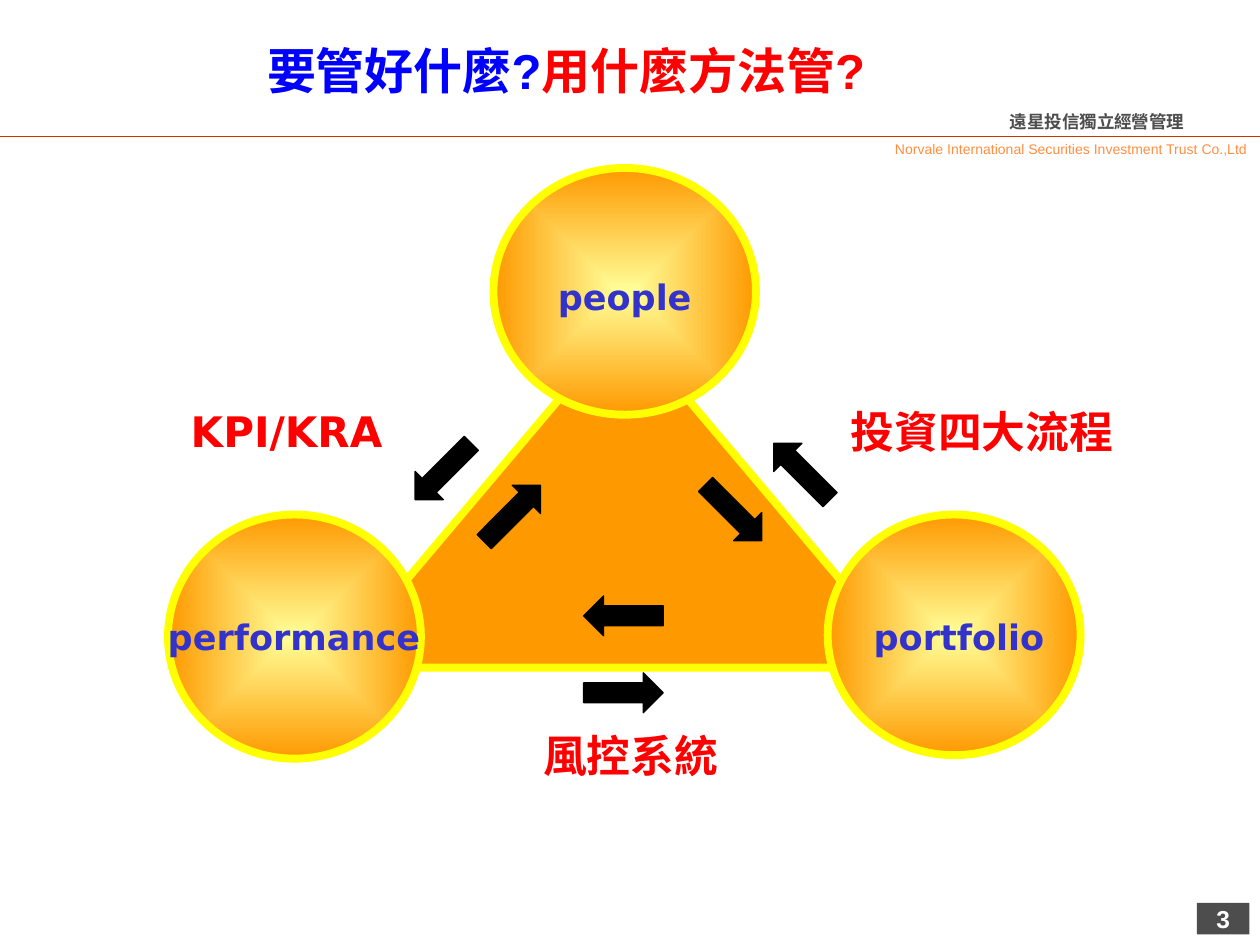
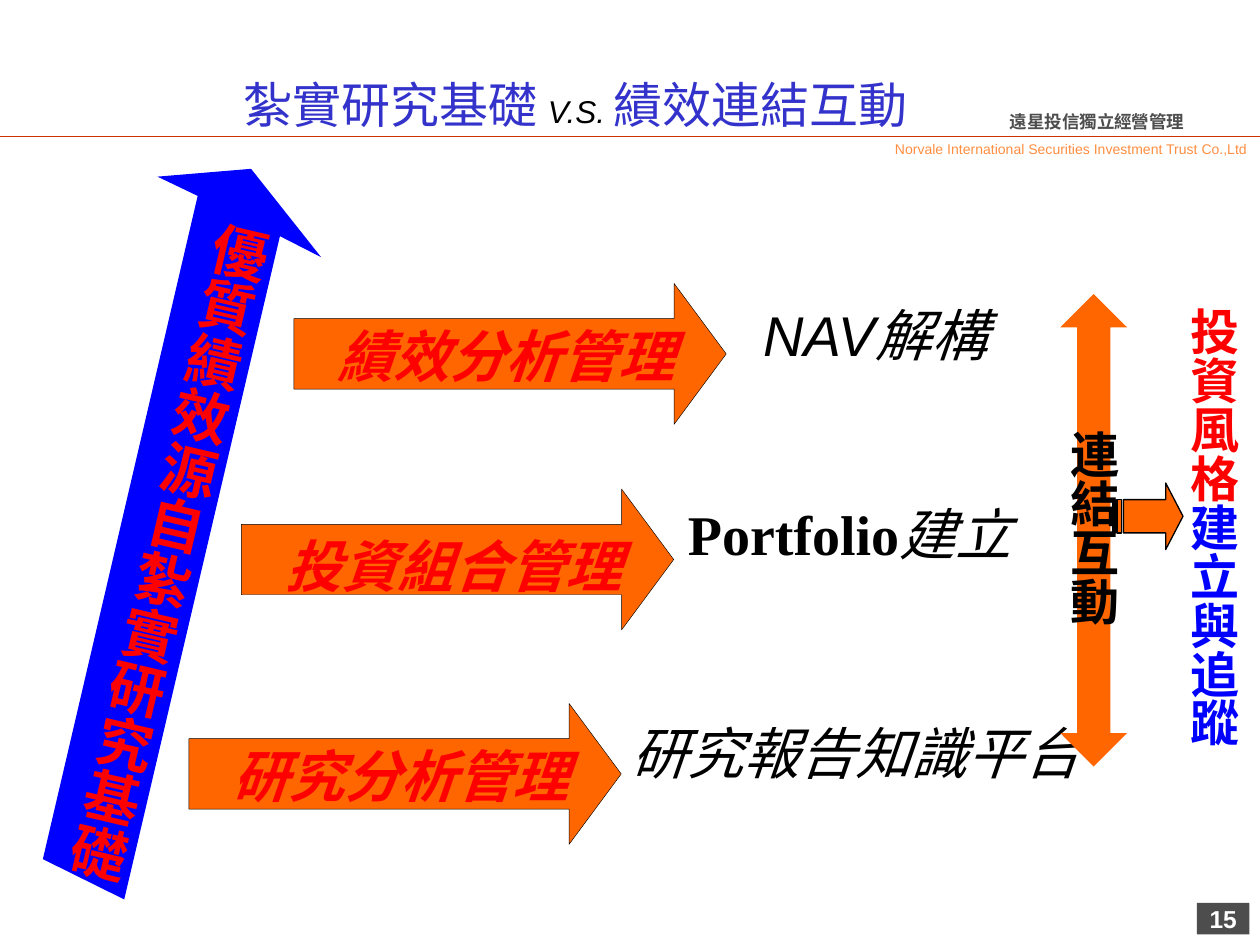
from dataclasses import dataclass

from lxml import etree
from pptx import Presentation
from pptx.dml.color import RGBColor
from pptx.enum.shapes import MSO_CONNECTOR, MSO_SHAPE
from pptx.enum.text import MSO_ANCHOR, MSO_AUTO_SIZE, PP_ALIGN
from pptx.oxml.ns import qn
from pptx.util import Pt

LEFT, CENTER = PP_ALIGN.LEFT, PP_ALIGN.CENTER
TOP = MSO_ANCHOR.TOP
GROW, FIXED = MSO_AUTO_SIZE.SHAPE_TO_FIT_TEXT, MSO_AUTO_SIZE.NONE
STRAIGHT = MSO_CONNECTOR.STRAIGHT
RECT, OVAL, TRIANGLE = MSO_SHAPE.RECTANGLE, MSO_SHAPE.OVAL, MSO_SHAPE.ISOSCELES_TRIANGLE
RIGHT_ARROW, UP_DOWN = MSO_SHAPE.RIGHT_ARROW, MSO_SHAPE.UP_DOWN_ARROW
STRIPED_ARROW = MSO_SHAPE.STRIPED_RIGHT_ARROW

WHITE, BLACK, GRAY = "FFFFFF", "000000", "4D4D4D"
RED, BLUE, INDIGO = "FF0000", "0000FF", "3333CC"
AMBER, ORANGE, YELLOW, CREAM = "FF9900", "FF6600", "FFFF00", "FFFF99"
RULE_RED, PALE_ORANGE = "CC3300", "FF8E41"
ARIAL, TIMES, DEJAVU, CJK = "Arial", "Times New Roman", "DejaVu Sans", "Noto Sans CJK SC"


@dataclass(frozen=True)
class Run:
    text: str
    size: float
    color: str
    font: str = ARIAL
    bold: bool = False
    italic: bool = False


@dataclass(frozen=True)
class Box:
    x: float
    y: float
    w: float
    h: float


@dataclass(frozen=True)
class Label:
    box: Box
    runs: tuple[Run, ...]
    align: PP_ALIGN = LEFT
    wrap: bool = True
    grow: bool = True
    vertical: bool = False
    rotation: float = 0
    spacing: float = 1.0


@dataclass(frozen=True)
class Shape:
    kind: MSO_SHAPE
    box: Box
    fill: str
    line: str | None = None
    width: float = 0.75
    adjust: tuple[float, ...] = ()
    rotation: float = 0


def rgb(color: str) -> RGBColor:
    return RGBColor.from_string(color)


def emu(box: Box) -> list[int]:
    return [Pt(v) for v in (box.x, box.y, box.w, box.h)]


def paint(sp, fill: str, line: str | None = None, width: float = 0.75) -> None:
    sp.shadow.inherit = False
    sp.fill.solid()
    sp.fill.fore_color.rgb = rgb(fill)
    if line:
        sp.line.color.rgb = rgb(line)
        sp.line.width = Pt(width)
    else:
        sp.line.fill.background()


def write(sp, label: Label) -> None:
    tf = sp.text_frame
    tf.word_wrap = label.wrap
    tf.auto_size = GROW if label.grow else FIXED
    tf.vertical_anchor = TOP
    across, along = (3.6, 7.2) if label.vertical else (7.2, 3.6)
    tf.margin_left = tf.margin_right = Pt(across)
    tf.margin_top = tf.margin_bottom = Pt(along)
    if label.vertical:
        sp.element.txBody.bodyPr.set("vert", "eaVert")
    p = tf.paragraphs[0]
    p.alignment = label.align
    p.line_spacing = label.spacing
    for part in label.runs:
        r = p.add_run()
        r.text = part.text
        r.font.name = part.font
        r.font.size = Pt(part.size)
        r.font.bold, r.font.italic = part.bold, part.italic
        r.font.color.rgb = rgb(part.color)
        latin = r.font._element.find(qn("a:latin"))
        east_asian = etree.Element(qn("a:ea"), typeface=CJK)
        latin.addnext(east_asian)


def add_label(s, label: Label) -> None:
    sp = s.shapes.add_textbox(*emu(label.box))
    sp.rotation = label.rotation
    write(sp, label)


def add_shape(s, shape: Shape):
    sp = s.shapes.add_shape(shape.kind, *emu(shape.box))
    for i, value in enumerate(shape.adjust):
        sp.adjustments[i] = value
    sp.rotation = shape.rotation
    paint(sp, shape.fill, shape.line, shape.width)
    return sp


def add_glowing_oval(s, box: Box) -> None:
    """Oval lit from its centre by a rectangular gradient."""
    sp = add_shape(s, Shape(OVAL, box, AMBER, YELLOW, 4.5))
    sp.fill.gradient()
    for stop, color, position in zip(sp.fill.gradient_stops, (CREAM, AMBER), (0, 1)):
        stop.color.rgb = rgb(color)
        stop.position = position
    grad = sp.element.spPr.find(qn("a:gradFill"))
    path = etree.Element(qn("a:path"), path="rect")
    etree.SubElement(path, qn("a:fillToRect"), l="50000", t="50000", r="50000", b="50000")
    grad.replace(grad.find(qn("a:lin")), path)


def add_framed_slide(prs, number: int):
    """Blank slide with the header rule, company lines and page number."""
    s = prs.slides.add_slide(prs.slide_layouts[6])
    rule = s.shapes.add_connector(STRAIGHT, 0, Pt(78), Pt(720), Pt(78))
    rule.line.color.rgb = rgb(RULE_RED)
    rule.line.width = Pt(0.75)
    etree.SubElement(rule.element.spPr, qn("a:effectLst"))

    page = Box(684, 516, 30, 18)
    number_run = Run(str(number), 14, WHITE, bold=True)
    write(add_shape(s, Shape(RECT, page, GRAY)),
          Label(page, (number_run,), CENTER, grow=False, spacing=0.8))
    add_label(s, Label(Box(570, 60, 150, 19.5),
                       (Run("遠星投信獨立經營管理", 10, GRAY, TIMES, bold=True),)))
    add_label(s, Label(Box(500, 78, 220, 16),
                       (Run("Norvale International Securities Investment Trust Co.,Ltd",
                            8, PALE_ORANGE),), PP_ALIGN.RIGHT, spacing=0.9))
    return s


def build_triangle_slide(prs) -> None:
    s = add_framed_slide(prs, 3)

    # Triangle with a pair of opposed arrows along each side
    add_shape(s, Shape(TRIANGLE, Box(190, 184.5, 332.5, 197), AMBER, YELLOW, 4.5, (0.5,)))
    for x, y, angle in ((333.5, 384.5, 0), (333.5, 340.5, 180),
                        (435.5, 258, 225), (396.5, 281.5, 45),
                        (270, 282, 315), (230.5, 258, 135)):
        add_shape(s, Shape(RIGHT_ARROW, Box(x, y, 45.5, 22.8), BLACK, BLACK,
                           adjust=(0.5, 0.5), rotation=angle))

    # Corners
    for oval in (Box(282, 96, 150, 141), Box(96, 294, 144.5, 139.5),
                 Box(473, 294, 144.5, 137.5)):
        add_glowing_oval(s, oval)
    for text, box in (("people", Box(306, 154, 102, 38)),
                      ("performance", Box(84, 348, 168, 36)),
                      ("portfolio", Box(492, 348, 112, 38))):
        add_label(s, Label(box, (Run(text, 20, INDIGO, DEJAVU, bold=True),),
                           CENTER, grow=False))

    # Methods beside the sides
    for text, size, font, box in (("KPI/KRA", 24, DEJAVU, Box(90, 228, 147.5, 38)),
                                  ("投資四大流程", 25, CJK, Box(462.5, 228, 197, 38)),
                                  ("風控系統", 25, CJK, Box(277, 413, 166.5, 37))):
        add_label(s, Label(box, (Run(text, size, RED, font, bold=True),),
                           CENTER, grow=False))

    add_label(s, Label(Box(145.5, 19.5, 400, 41),
                       (Run("要管好什麼?", 28, BLUE, bold=True),
                        Run("用什麼方法管?", 28, RED, bold=True))))


def build_research_slide(prs) -> None:
    s = add_framed_slide(prs, 15)

    # Leaning arrow
    outline = [(Pt(x), Pt(y)) for x, y in (
        (71, 514), (160, 135), (183.5, 147), (143.5, 96.5),
        (90, 101), (113, 112), (24.5, 491))]
    builder = s.shapes.build_freeform(*outline[0])
    builder.add_line_segments(outline[1:], close=True)
    paint(builder.convert_to_shape(), BLUE)

    add_label(s, Label(Box(132, 39, 423, 41),
                       (Run("紮實研究基礎 ", 28, INDIGO),
                        Run("V.S. ", 18, BLACK, italic=True),
                        Run("績效連結互動", 28, INDIGO))))
    add_label(s, Label(Box(66, 115.5, 52.5, 402),
                       (Run("優質績效源自紮實研究基礎", 32, RED, bold=True),),
                       vertical=True, rotation=13.2))
    add_label(s, Label(Box(666, 168.5, 47.5, 259),
                       (Run("投資風格", 28, RED, bold=True),
                        Run("建立與追蹤", 28, BLUE, bold=True)),
                       wrap=False, vertical=True))

    # Stage arrows, each stepping left
    stages = (("績效分析管理", 162), ("投資組合管理", 279.5), ("研究分析管理", 402))
    for i, (text, top) in enumerate(stages):
        left = 168 - 30 * i
        add_shape(s, Shape(RIGHT_ARROW, Box(left, top, 247, 80.5), ORANGE, BLACK, 0.25,
                           (0.5, 0.37)))
        add_label(s, Label(Box(left + 18, 180 + 120 * i, 220, 46),
                           (Run(text, 32, RED, bold=True, italic=True),)))

    # Results of the stages
    add_label(s, Label(Box(429, 168, 160, 46),
                       (Run("NAV解構", 32, BLACK, italic=True),)))
    add_label(s, Label(Box(386, 282, 230, 46),
                       (Run("Portfolio", 32, BLACK, TIMES, bold=True),
                        Run("建立", 32, BLACK, TIMES, italic=True))))
    add_label(s, Label(Box(354, 407, 290, 46),
                       (Run("研究報告知識平台", 32, BLACK, italic=True),)))

    # Link between the results, leading to the style
    add_shape(s, Shape(UP_DOWN, Box(606, 168, 38, 270), ORANGE, adjust=(1.4, 0.5)))
    add_label(s, Label(Box(597.5, 239, 47.5, 128),
                       (Run("連結互動", 28, BLACK, bold=True),),
                       wrap=False, vertical=True))
    add_shape(s, Shape(STRIPED_ARROW, Box(636, 276, 40, 38), ORANGE, BLACK,
                       adjust=(0.5, 0.26)))


def main() -> None:
    prs = Presentation()
    prs.slide_width, prs.slide_height = Pt(720), Pt(540)
    build_triangle_slide(prs)
    build_research_slide(prs)
    prs.save("out.pptx")


if __name__ == "__main__":
    main()
